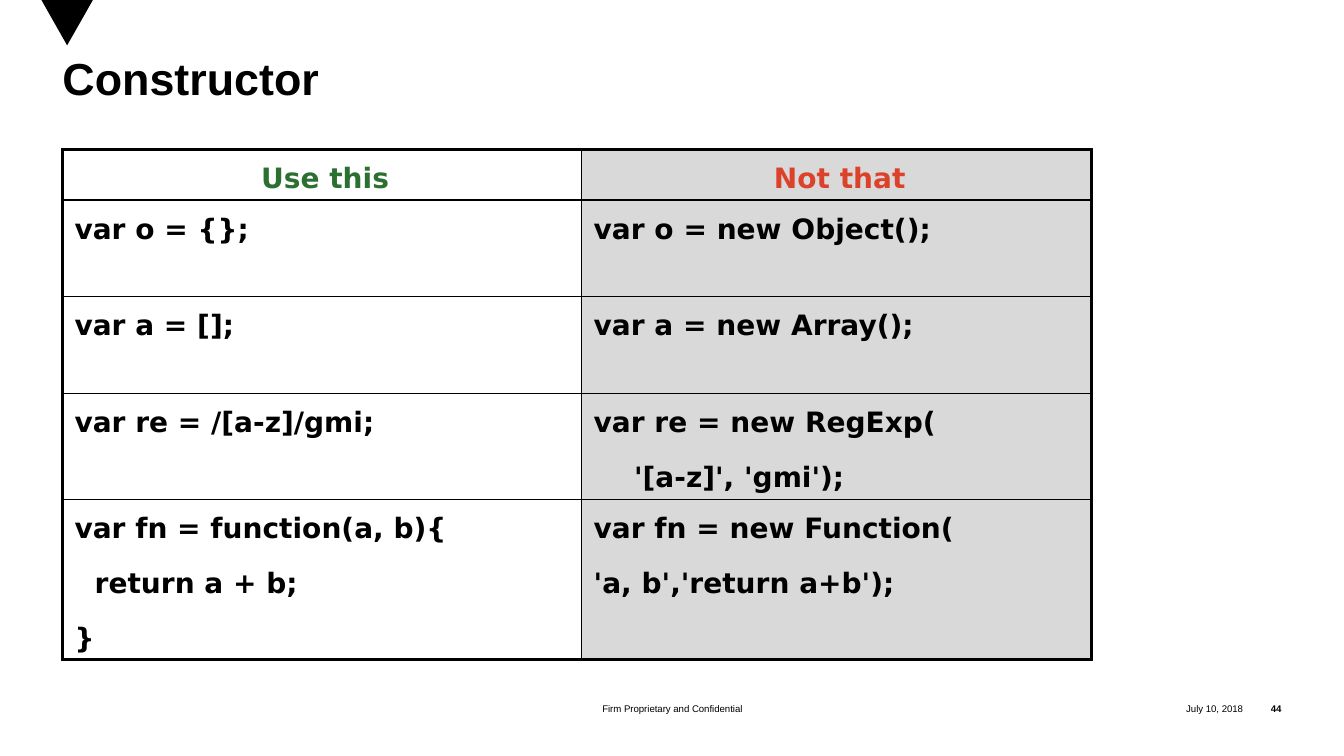
from lxml import etree
from pptx import Presentation
from pptx import util as u
from pptx.dml.color import RGBColor
from pptx.enum import shapes, text
from pptx.oxml.ns import qn

COLORS = {"ink": "000000", "good": "2B6F31", "bad": "DC422A", "shade": "D9D9D9"}
WIDTH, HEIGHT = u.Inches(13.33), u.Inches(7.5)
LEFT = 4.65
COLUMNS = [38.63, 37.96]
ROWS = [6.67, 12.8, 12.8, 14, 21.2]
SPACE = 0.1
THICK, THIN = u.Pt(2.25), u.Pt(1)
HEADINGS = [("Use this", "good"), ("Not that", "bad")]
SNIPPETS = [
    ([(0, "var o = {};")], [(0, "var o = new Object();")]),
    ([(0, "var a = [];")], [(0, "var a = new Array();")]),
    ([(0, "var re = /[a-z]/gmi;")],
     [(0, "var re = new RegExp("), (4, "'[a-z]', 'gmi');")]),
    ([(0, "var fn = function(a, b){"), (2, "return a + b;"), (0, "}")],
     [(0, "var fn = new Function("), (0, "'a, b','return a+b');")]),
]


def across(share):
    """Turn a percentage of the slide width into a length."""
    return u.Emu(round(WIDTH * share / 100))


def down(share):
    """Turn a percentage of the slide height into a length."""
    return u.Emu(round(HEIGHT * share / 100))


def area(left, top, width, height):
    """Turn percentages of the slide into a position and size."""
    return across(left), down(top), across(width), down(height)


def color(name):
    """Look up a named colour."""
    return RGBColor.from_string(COLORS[name])


def add_span(para, words, size, font="Arial", ink="ink", bold=False):
    """Add one formatted run to a paragraph."""
    span = para.add_run()
    span.text = words
    span.font.size = u.Pt(size)
    span.font.name = font
    span.font.bold = bold
    span.font.color.rgb = color(ink)


def clear_margins(frame, anchor):
    """Wrap a text frame without insets and anchor it."""
    frame.margin_left = frame.margin_right = 0
    frame.margin_top = frame.margin_bottom = 0
    frame.word_wrap = True
    frame.auto_size = text.MSO_AUTO_SIZE.NONE
    frame.vertical_anchor = anchor


def set_title(page, words):
    """Place and format the title placeholder."""
    title = page.shapes.title
    title.left, title.top, title.width, title.height = area(LEFT, 7.73, 90.6, 17.2)
    clear_margins(title.text_frame, text.MSO_ANCHOR.TOP)
    para = title.text_frame.paragraphs[0]
    para.alignment = text.PP_ALIGN.LEFT
    para.line_spacing = 0.85
    add_span(para, words, 32, bold=True)


def add_marker(page):
    """Add the downward triangle at the top edge."""
    marker = page.shapes.add_shape(
        shapes.MSO_SHAPE.FLOWCHART_MERGE, *area(3.08, 0, 3.83, 6))
    marker.shadow.inherit = False
    marker.fill.solid()
    marker.fill.fore_color.rgb = color("ink")
    marker.line.fill.background()


def add_footer(page, left, width, words, align, bold=False):
    """Add one small text on the footer line."""
    box = page.shapes.add_textbox(*area(left, 92.13, width, 3.33))
    clear_margins(box.text_frame, text.MSO_ANCHOR.MIDDLE)
    para = box.text_frame.paragraphs[0]
    para.alignment = align
    add_span(para, words, 6.9, bold=bold)


def set_borders(cell, row, column):
    """Draw thick outer and thin inner borders around a cell."""
    outer = {"lnL": column == 0, "lnR": column == len(COLUMNS) - 1,
             "lnT": row == 0, "lnB": row == len(ROWS) - 1}
    properties = cell._tc.get_or_add_tcPr()
    for side, is_outer in outer.items():
        width = THICK if is_outer else THIN
        line = etree.SubElement(properties, qn(f"a:{side}"), w=str(width))
        fill = etree.SubElement(line, qn("a:solidFill"))
        etree.SubElement(fill, qn("a:srgbClr"), val=COLORS["ink"])


def fill_cell(cell, lines, align, ink="ink"):
    """Write indented code lines into a table cell."""
    cell.margin_left = cell.margin_right = u.Inches(0.06)
    cell.margin_top = cell.margin_bottom = u.Inches(0.05)
    for index, (indent, words) in enumerate(lines):
        frame = cell.text_frame
        para = frame.add_paragraph() if index else frame.paragraphs[0]
        para.alignment = align
        para.line_spacing = 1.25
        para.space_before = u.Pt(10)
        margin = u.Inches(0.06 + indent * SPACE)
        para._p.get_or_add_pPr().set("marL", str(margin))
        add_span(para, words, 20, "DejaVu Sans", ink, True)


def add_comparison(page):
    """Add the table that sets literals against constructors."""
    place = area(LEFT, 19.73, sum(COLUMNS), sum(ROWS))
    table = page.shapes.add_table(len(ROWS), len(COLUMNS), *place).table
    table.first_row = table.horz_banding = False
    for column, share in enumerate(COLUMNS):
        table.columns[column].width = across(share)
    for row, share in enumerate(ROWS):
        table.rows[row].height = down(share)
        for column, (heading, ink) in enumerate(HEADINGS):
            cell = table.cell(row, column)
            set_borders(cell, row, column)
            if column:
                cell.fill.solid()
                cell.fill.fore_color.rgb = color("shade")
            else:
                cell.fill.background()
            if row:
                fill_cell(cell, SNIPPETS[row - 1][column], text.PP_ALIGN.LEFT)
            else:
                fill_cell(cell, [(0, heading)], text.PP_ALIGN.CENTER, ink)


def main():
    """Build and save the slide."""
    deck = Presentation()
    deck.slide_width, deck.slide_height = WIDTH, HEIGHT
    page = deck.slides.add_slide(deck.slide_layouts[5])
    add_marker(page)
    add_footer(page, 81.32, 11.18, "July 10, 2018", text.PP_ALIGN.RIGHT)
    add_footer(page, 92.5, 2.85, "44", text.PP_ALIGN.RIGHT, True)
    add_footer(page, 32.86, 34.36, "Firm Proprietary and Confidential",
               text.PP_ALIGN.CENTER)
    set_title(page, "Constructor")
    add_comparison(page)
    deck.save("out.pptx")


if __name__ == "__main__":
    main()
